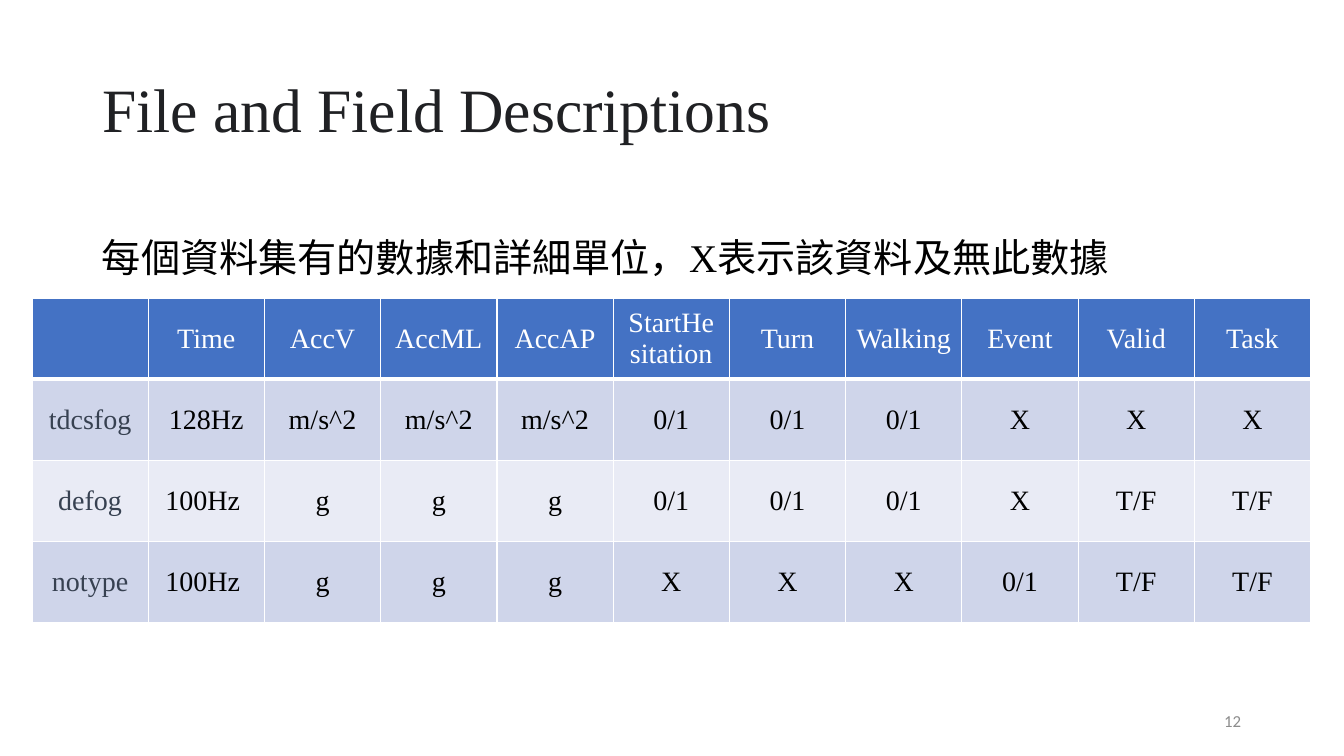
from lxml import etree
from pptx import Presentation
from pptx import util as u
from pptx.dml.color import RGBColor
from pptx.enum import text
from pptx.oxml.ns import qn

PX = 914400 / 100.8
SERIF = "Times New Roman"
COLORS = {
    "title": "202124", "black": "000000", "white": "FFFFFF", "dataset": "374151",
    "page": "8C8C8C", "header": "4472C4", "odd": "CFD5EA", "even": "E9EBF5",
}
FIELDS = ["", "Time", "AccV", "AccML", "AccAP", "StartHesitation",
          "Turn", "Walking", "Event", "Valid", "Task"]
DATASETS = [
    ["tdcsfog", "128Hz"] + ["m/s^2"] * 3 + ["0/1"] * 3 + ["X"] * 3,
    ["defog", "100Hz "] + ["g"] * 3 + ["0/1"] * 3 + ["X", "T/F", "T/F"],
    ["notype", "100Hz "] + ["g"] * 3 + ["X"] * 3 + ["0/1", "T/F", "T/F"],
]


def px(*lengths):
    return [u.Emu(round(length * PX)) for length in lengths]


def write(frame, words, size, color, font=SERIF, align=text.PP_ALIGN.LEFT):
    frame.text = words
    paragraph = frame.paragraphs[0]
    paragraph.alignment = align
    for run in paragraph.runs:
        run.font.name = font
        run.font.size = u.Pt(size)
        run.font.bold = False
        run.font.color.rgb = RGBColor.from_string(COLORS[color])


def add_title(slide, box, words):
    title = slide.shapes.title
    title.left, title.top, title.width, title.height = px(*box)
    frame = title.text_frame
    write(frame, words, 44, "title")
    frame.auto_size = text.MSO_AUTO_SIZE.NONE
    frame.vertical_anchor = text.MSO_ANCHOR.MIDDLE
    frame.paragraphs[0].line_spacing = 0.9


def add_text(slide, box, words, anchor=text.MSO_ANCHOR.TOP, **style):
    frame = slide.shapes.add_textbox(*px(*box)).text_frame
    frame.word_wrap = True
    frame.vertical_anchor = anchor
    write(frame, words, **style)


def border_header(cell):
    """Give the cell white edges, with a thick one below."""
    properties = cell._tc.get_or_add_tcPr()
    for place, (side, points) in enumerate(zip("LRTB", (1, 1, 1, 3))):
        line = etree.Element(qn(f"a:ln{side}"), w=str(u.Pt(points)))
        fill = etree.SubElement(line, qn("a:solidFill"))
        etree.SubElement(fill, qn("a:srgbClr"), val=COLORS["white"])
        properties.insert(place, line)


def add_field_table(slide, box):
    rows = [FIELDS] + DATASETS
    table = slide.shapes.add_table(len(rows), len(FIELDS), *px(*box)).table
    for r, values in enumerate(rows):
        band = "header" if r == 0 else "odd" if r % 2 else "even"
        for c, value in enumerate(values):
            cell = table.cell(r, c)
            color = "white" if r == 0 else "dataset" if c == 0 else "black"
            write(cell.text_frame, value, 20, color, align=text.PP_ALIGN.CENTER)
            cell.vertical_anchor = text.MSO_ANCHOR.MIDDLE
            cell.fill.solid()
            cell.fill.fore_color.rgb = RGBColor.from_string(COLORS[band])
            if r == 0:
                border_header(cell)


def main():
    deck = Presentation()
    deck.slide_width, deck.slide_height = px(1344, 756)
    slide = deck.slides.add_slide(deck.slide_layouts.get_by_name("Title Only"))
    add_title(slide, (92, 40, 1159, 146), "File and Field Descriptions")
    add_field_table(slide, (32, 298, 1279, 325))
    add_text(slide, (92, 228, 1127, 57),
             "每個資料集有的數據和詳細單位，X表示該資料及無此數據", size=28, color="black")
    add_text(slide, (949, 701, 302, 40), "12", text.MSO_ANCHOR.MIDDLE, size=12,
             color="page", font="Calibri", align=text.PP_ALIGN.RIGHT)
    deck.save("out.pptx")


if __name__ == "__main__":
    main()
